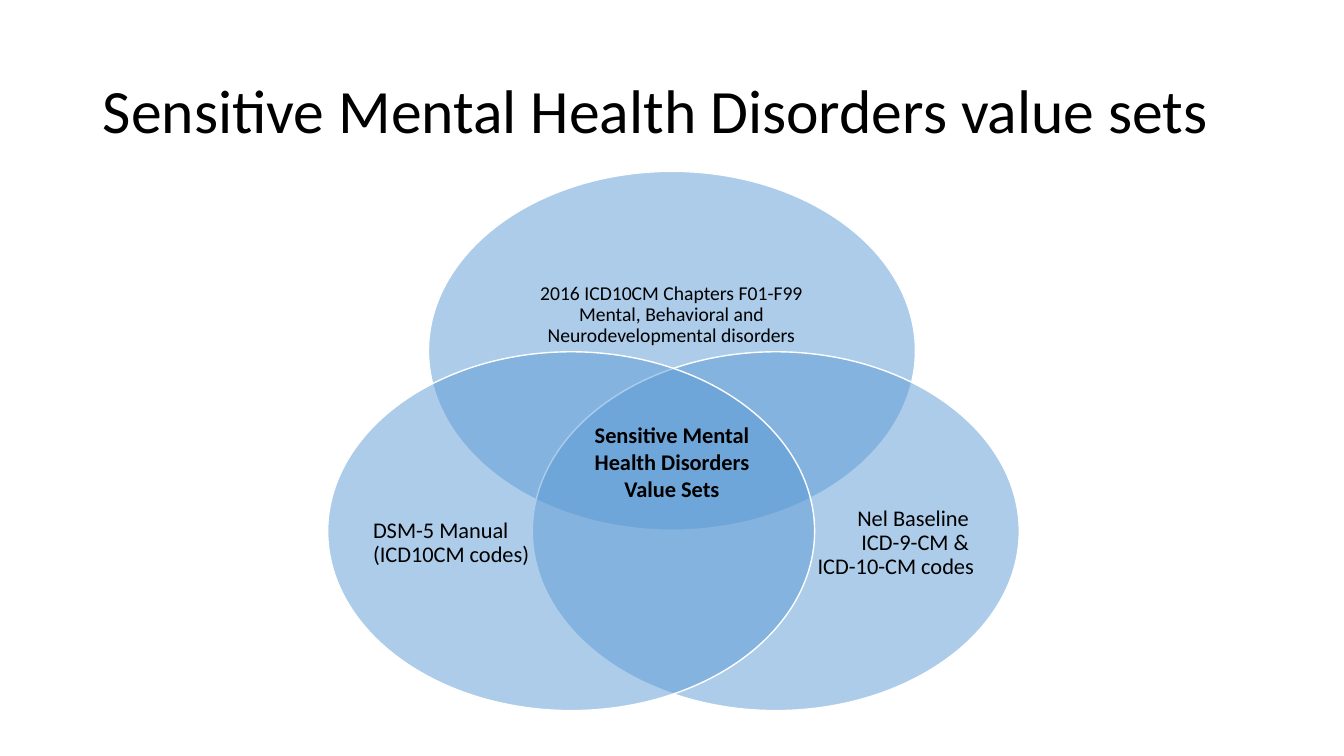
"""Build the Venn slide on sensitive mental health disorder value sets."""
from dataclasses import dataclass

from lxml.etree import SubElement
from pptx import Presentation
from pptx.dml.color import RGBColor
from pptx.enum.shapes import MSO_SHAPE
from pptx.enum.text import MSO_ANCHOR, MSO_AUTO_SIZE, PP_ALIGN
from pptx.oxml.ns import qn
from pptx.util import Inches, Pt


@dataclass(frozen=True)
class Theme:
    font: str = "Calibri"
    ink: RGBColor = RGBColor(0x00, 0x00, 0x00)
    circle: RGBColor = RGBColor(0x5B, 0x9B, 0xD5)
    outline: RGBColor = RGBColor(0xFF, 0xFF, 0xFF)
    opacity: int = 50
    title: int = 44
    label: int = 16
    small: int = 14


theme = Theme()


def write(frame, lines, size, align, spacing=0.9, bold=False, anchor=MSO_ANCHOR.MIDDLE):
    """Fill a text frame with one paragraph per line."""
    frame.word_wrap = True
    frame.vertical_anchor = anchor
    frame.text = "\n".join(lines)
    for paragraph in frame.paragraphs:
        paragraph.alignment = align
        paragraph.line_spacing = spacing
        for run in paragraph.runs:
            run.font.name = theme.font
            run.font.size = Pt(size)
            run.font.bold = bold
            run.font.color.rgb = theme.ink


deck = Presentation()
deck.slide_width, deck.slide_height = Inches(13.33), Inches(7.5)
slide = deck.slides.add_slide(deck.slide_layouts[5])

title = slide.shapes.title
title.left, title.top = Inches(0.92), Inches(0.4)
title.width, title.height = Inches(11.5), Inches(1.45)
write(title.text_frame, ["Sensitive Mental Health Disorders value sets"], theme.title, PP_ALIGN.LEFT)
title.text_frame.auto_size = MSO_AUTO_SIZE.NONE

value_sources = [
    ((4.25, 1.7), (4.89, 2.33, 3.54, 1.6), theme.small, PP_ALIGN.CENTER,
     ["2016 ICD10CM Chapters F01-F99", "Mental, Behavioral and Neurodevelopmental disorders"]),
    ((5.28, 3.49), (6.76, 4.41, 2.9, 1.96), theme.label, PP_ALIGN.RIGHT,
     ["Nel Baseline ", "ICD-9-CM & ", "ICD-10-CM codes"]),
    ((3.25, 3.49), (3.7, 4.41, 2.9, 1.96), theme.label, PP_ALIGN.LEFT,
     ["DSM-5 Manual", "(ICD10CM codes)"]),
]
for (left, top), label_box, size, align, lines in value_sources:
    circle = slide.shapes.add_shape(
        MSO_SHAPE.OVAL, Inches(left), Inches(top), Inches(4.83), Inches(3.56))
    circle.shadow.inherit = False
    circle.fill.solid()
    circle.fill.fore_color.rgb = theme.circle
    color = circle.fill._xPr.find(qn("a:solidFill"))[0]
    SubElement(color, qn("a:alpha"), val=str(theme.opacity * 1000))
    circle.line.color.rgb = theme.outline
    circle.line.width = Pt(1)

    label = slide.shapes.add_textbox(*map(Inches, label_box)).text_frame
    label.margin_left = label.margin_top = label.margin_right = label.margin_bottom = 0
    write(label, lines, size, align)

overlap = slide.shapes.add_textbox(Inches(5.76), Inches(4.13), Inches(1.81), Inches(0.91))
write(overlap.text_frame, ["Sensitive Mental Health Disorders Value Sets"], theme.label,
      PP_ALIGN.CENTER, spacing=1.0, bold=True, anchor=MSO_ANCHOR.TOP)
overlap.text_frame.auto_size = MSO_AUTO_SIZE.SHAPE_TO_FIT_TEXT

deck.save("out.pptx")
